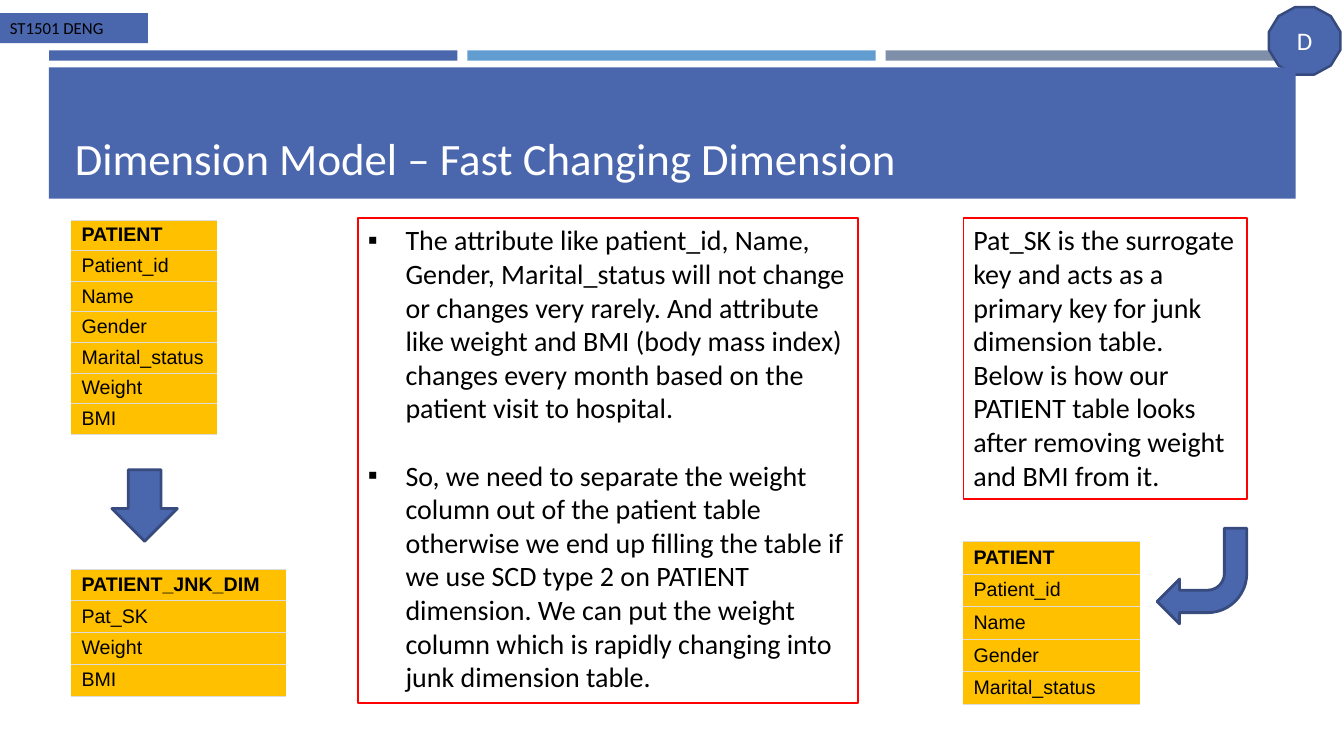
import pptx
import pptx.dml.color
import pptx.enum.shapes
import pptx.enum.text
import pptx.oxml
import pptx.oxml.ns
import pptx.util
import lxml.etree

Cm = pptx.util.Cm
Pt = pptx.util.Pt
Shape = pptx.enum.shapes.MSO_SHAPE
Align = pptx.enum.text.PP_ALIGN
Anchor = pptx.enum.text.MSO_ANCHOR


def color(value):
    return pptx.dml.color.RGBColor.from_string(value)


def add_element(parent, tag, **attributes):
    return lxml.etree.SubElement(parent, pptx.oxml.ns.qn(tag), attributes)


def write(frame, text, size=20, font="Calibri", ink="000000", bold=False,
          align=Align.LEFT, anchor=Anchor.TOP, bullet=None, gap=0):
    frame.word_wrap = True
    frame.vertical_anchor = anchor
    for index, line in enumerate(text.split("\n")):
        para = frame.add_paragraph() if index else frame.paragraphs[0]
        if bullet:
            properties = para._p.get_or_add_pPr()
            properties.set("marL", str(Cm(0.95)))
            properties.set("indent", str(-Cm(0.95)))
            add_element(properties, "a:buFont", typeface="Arial")
            add_element(properties, "a:buChar", char=bullet)
        para.alignment = align
        para.space_before = Pt(gap if index else 0)
        span = para.add_run()
        span.text = line
        span.font.size = Pt(size)
        span.font.name = font
        span.font.bold = bold
        span.font.color.rgb = color(ink)


class Painter:
    blue = "4A66AC"
    amber = "FFC000"
    rule = "DDDDDD"

    def __init__(self, page):
        self.page = page

    def shape(self, kind, left, top, width, height, fill=None, line=None, weight=1.25):
        box = self.page.shapes.add_shape(kind, Cm(left), Cm(top), Cm(width), Cm(height))
        box.shadow.inherit = False
        if fill:
            box.fill.solid()
            box.fill.fore_color.rgb = color(fill)
        else:
            box.fill.background()
        if line:
            box.line.color.rgb = color(line)
            box.line.width = Pt(weight)
        else:
            box.line.fill.background()
        return box

    def title(self, text, left, top, width, height):
        box = self.page.shapes.title
        box.left, box.top, box.width, box.height = Cm(left), Cm(top), Cm(width), Cm(height)
        self.page.shapes._spTree.append(box._element)
        write(box.text_frame, text, size=32, ink="FFFFFF", anchor=Anchor.BOTTOM)

    def note(self, text, left, top, width, height, **style):
        box = self.shape(Shape.RECTANGLE, left, top, width, height, line="FF0000")
        write(box.text_frame, text, **style)

    def arrow(self, kind, left, top, width, height, rotation=0):
        box = self.shape(kind, left, top, width, height, self.blue, "374B7F", 2)
        box.rotation = rotation

    def entity(self, names, left, top, width, row_height):
        frame = self.page.shapes.add_table(
            len(names), 1, Cm(left), Cm(top), Cm(width), Cm(row_height * len(names)))
        table = frame.table
        table.horz_banding = False
        for index, name in enumerate(names):
            table.rows[index].height = Cm(row_height)
            cell = table.cell(index, 0)
            cell.margin_top = cell.margin_bottom = Cm(0.1)
            write(cell.text_frame, name, size=14, font="Arial", bold=index == 0)
            cell.vertical_anchor = Anchor.MIDDLE
            properties = cell._tc.get_or_add_tcPr()
            for side in ("a:lnL", "a:lnR"):
                add_element(add_element(properties, side, w="0"), "a:noFill")
            for side in ("a:lnT", "a:lnB"):
                border = add_element(properties, side, w=str(Pt(0.25)))
                add_element(add_element(border, "a:solidFill"), "a:srgbClr", val=self.rule)
            cell.fill.solid()
            cell.fill.fore_color.rgb = color(self.amber)


def main():
    deck = pptx.Presentation()
    deck.slide_width, deck.slide_height = Cm(33.87), Cm(19.05)
    page = deck.slides.add_slide(deck.slide_layouts[5])
    painter = Painter(page)

    for index, fill in enumerate((painter.blue, "629DD1", "7F8FA9")):
        painter.shape(Shape.RECTANGLE, 1.24 + 10.54 * index, 1.27, 10.29, 0.26, fill)
    badge = painter.shape(Shape.DODECAGON, 31.98, 0.18, 1.8, 1.7, painter.blue, "364A7D", 1.75)
    write(badge.text_frame, "D", size=18, ink="FFFFFF", align=Align.CENTER, anchor=Anchor.MIDDLE)
    course = painter.shape(Shape.RECTANGLE, 0, 0.33, 3.73, 0.76, painter.blue)
    write(course.text_frame, "ST1501 DENG", size=12, anchor=Anchor.MIDDLE)
    painter.shape(Shape.RECTANGLE, 1.23, 1.7, 31.42, 3.31, painter.blue)
    painter.title("Dimension Model – Fast Changing Dimension", 1.63, 1.96, 30.63, 2.82)

    stable = ["PATIENT", "Patient_id", "Name", "Gender", "Marital_status"]
    changing = ["Weight", "BMI"]
    painter.entity(stable + changing, 1.8, 5.54, 3.68, 0.77)
    painter.entity(["PATIENT_JNK_DIM", "Pat_SK"] + changing, 1.8, 14.33, 5.41, 0.8)
    painter.entity(stable, 24.28, 13.64, 4.45, 0.82)

    painter.note(
        "The attribute like patient_id, Name, Gender, Marital_status will not change or "
        "changes very rarely. And attribute like weight and BMI (body mass index) changes "
        "every month based on the patient visit to hospital.\n"
        "So, we need to separate the weight column out of the patient table otherwise we "
        "end up filling the table if we use SCD type 2 on PATIENT dimension. We can put the "
        "weight column which is rapidly changing into junk dimension table.",
        9.02, 5.49, 12.6, 12.22, bullet="▪", gap=24)
    painter.note(
        "Pat_SK is the surrogate key and acts as a primary key for junk dimension table. "
        "Below is how our PATIENT table looks after removing weight and BMI from it.",
        24.28, 5.49, 7.14, 7.09)

    painter.arrow(Shape.DOWN_ARROW, 2.82, 11.84, 1.65, 1.8)
    painter.arrow(Shape.BENT_ARROW, 29.16, 13.31, 2.26, 2.41, rotation=180)
    deck.save("out.pptx")


if __name__ == "__main__":
    main()
